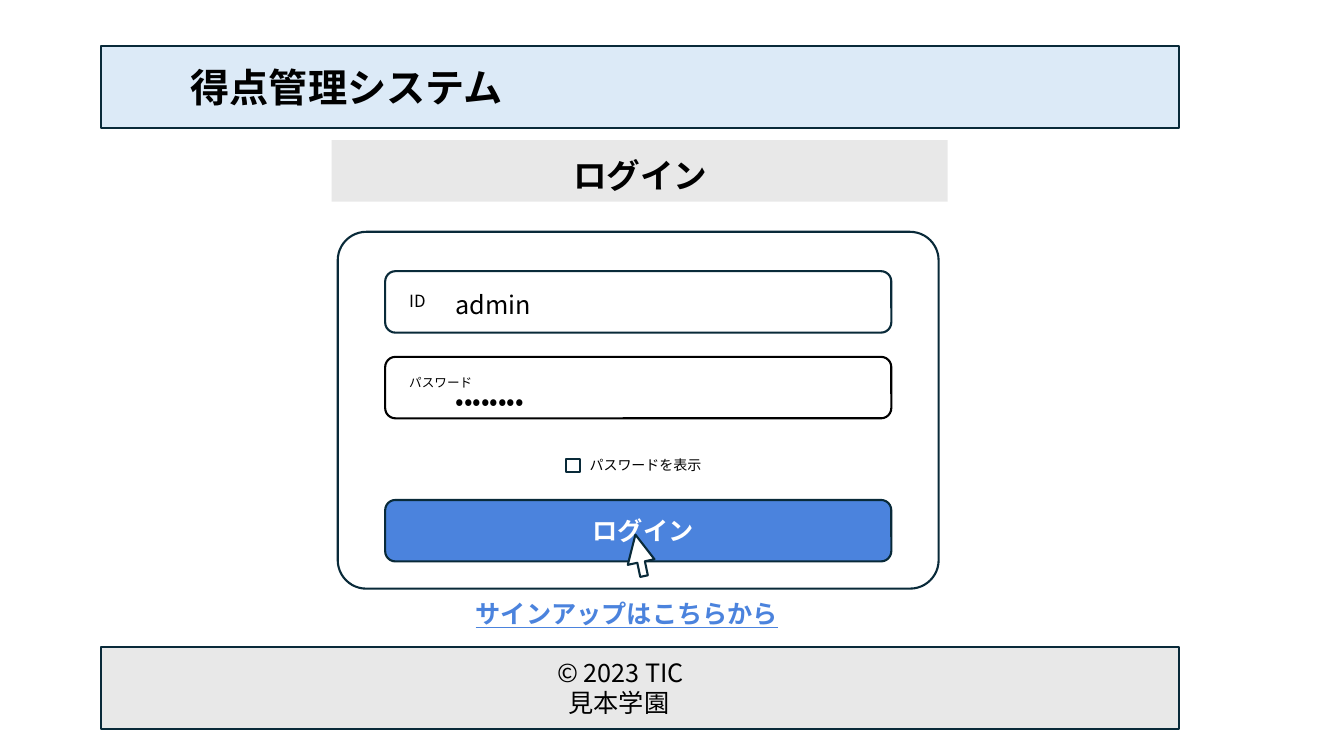
from dataclasses import dataclass

from lxml import etree
from pptx import Presentation
from pptx.dml.color import RGBColor
from pptx.enum.shapes import MSO_SHAPE
from pptx.enum.text import MSO_ANCHOR, MSO_AUTO_SIZE, PP_ALIGN
from pptx.oxml.ns import qn
from pptx.util import Inches, Pt

RECT = MSO_SHAPE.RECTANGLE
ROUND = MSO_SHAPE.ROUNDED_RECTANGLE
ARROW = MSO_SHAPE.UP_ARROW
TOP = MSO_ANCHOR.TOP
FIXED = MSO_AUTO_SIZE.NONE
LEFT, CENTER = PP_ALIGN.LEFT, PP_ALIGN.CENTER


@dataclass(frozen=True)
class Theme:
    font: str = "Noto Sans CJK JP"
    black: str = "000000"
    white: str = "FFFFFF"
    navy: str = "092A39"
    sky: str = "DCEAF7"
    gray: str = "E8E8E8"
    blue: str = "4B83DD"
    title: int = 28
    head: int = 24
    body: int = 18
    label: int = 12
    check: int = 10
    small: int = 9
    line: float = 1.5


T = Theme()

BAND_X, BAND_W, BAND_H = 1, 10.69, 0.81
FIELD_X, FIELD_W, FIELD_H = 3.82, 5.02, 0.61

HEADER = (RECT, (BAND_X, 0.46, BAND_W, BAND_H), T.sky, T.navy)
TITLE = ("得点管理システム", (1.79, 0.58, 9.11, 0.57))
PANELS = [
    (RECT, (3.29, 1.39, 6.11, 0.61), T.gray, None),
    (ROUND, (3.35, 2.3, 5.96, 3.54), T.white, T.navy, (0.08,)),
    (RECT, (BAND_X, 6.42, BAND_W, BAND_H), T.gray, T.navy),
    (ROUND, (FIELD_X, 2.69, FIELD_W, FIELD_H), T.white, T.navy),
    (ROUND, (FIELD_X, 3.54, FIELD_W, FIELD_H), T.white, T.black),
    (RECT, (5.61, 4.55, 0.14, 0.13), T.white, T.navy),
    (ROUND, (FIELD_X, 4.96, FIELD_W, FIELD_H), T.blue, T.navy),
]
TEXTS = [
    (["ログイン"], (4.85, 1.49, 3, 0.5), T.head, T.black, True, CENTER),
    (["ID"], (3.96, 2.84, 0.88, 0.3), T.label),
    (["パスワード"], (3.96, 3.67, 0.88, 0.25), T.small),
    (["パスワードを表示"], (5.75, 4.48, 1.83, 0.27), T.check),
    (["ログイン"], (5.78, 5.06, 1.35, 0.4), T.body, T.white, True),
    (["admin"], (4.42, 2.82, 2.62, 0.4), T.body),
    (["••••••••"], (4.42, 3.77, 2.67, 0.4), T.body),
]
FOOTER = (["© 2023 TIC", "見本学園"], (5.43, 6.47, 2.04, 0.71), T.body)
INDENT = 0.11
SIGNUP = (["サインアップはこちらから"], (4.62, 5.89, 4.27, 0.4), T.body, T.blue, True)
CURSOR = (ARROW, (6.21, 5.3, 0.27, 0.42), T.white, T.navy, (0.283, 1.028))
TILT = 348.2


def draw(slide, kind, box, fill, line, adjust=()):
    """Add a filled preset shape and return it."""
    shape = slide.shapes.add_shape(kind, *map(Inches, box))
    shape.shadow.inherit = False
    shape.fill.solid()
    shape.fill.fore_color.rgb = RGBColor.from_string(fill)
    if line:
        shape.line.color.rgb = RGBColor.from_string(line)
        shape.line.width = Pt(T.line)
    else:
        shape.line.fill.background()
    for i, value in enumerate(adjust):
        shape.adjustments[i] = value
    return shape


def style(para, size, color=T.black, bold=False, align=LEFT):
    """Set the alignment and font of a paragraph."""
    para.alignment = align
    font = para.font
    font.name = T.font
    font.size = Pt(size)
    font.bold = bold
    font.color.rgb = RGBColor.from_string(color)
    base = para._p.get_or_add_pPr().find(qn("a:defRPr"))
    etree.SubElement(base, qn("a:ea")).set("typeface", T.font)


def write(slide, lines, box, *look):
    """Add a text box and return its paragraphs."""
    frame = slide.shapes.add_textbox(*map(Inches, box)).text_frame
    frame.word_wrap = True
    frame.text = "\n".join(lines)
    for para in frame.paragraphs:
        style(para, *look)
    return frame.paragraphs


def head(slide):
    """Place the title on top of its band."""
    band = draw(slide, *HEADER)
    title = slide.shapes.title
    text, box = TITLE
    title.left, title.top, title.width, title.height = map(Inches, box)
    frame = title.text_frame
    frame.text = text
    frame.auto_size = FIXED
    frame.vertical_anchor = TOP
    style(frame.paragraphs[0], T.title, T.black, True)
    band.element.addnext(title.element)


def main():
    """Build the login slide and save it."""
    deck = Presentation()
    deck.slide_width, deck.slide_height = Inches(13.33), Inches(7.5)
    slide = deck.slides.add_slide(deck.slide_layouts[5])
    head(slide)
    for panel in PANELS:
        draw(slide, *panel)
    for text in TEXTS:
        write(slide, *text)
    school = write(slide, *FOOTER)[1]
    school._p.get_or_add_pPr().set("marL", str(Inches(INDENT)))
    write(slide, *SIGNUP)[0].font.underline = True
    draw(slide, *CURSOR).rotation = TILT
    deck.save("out.pptx")


if __name__ == "__main__":
    main()
